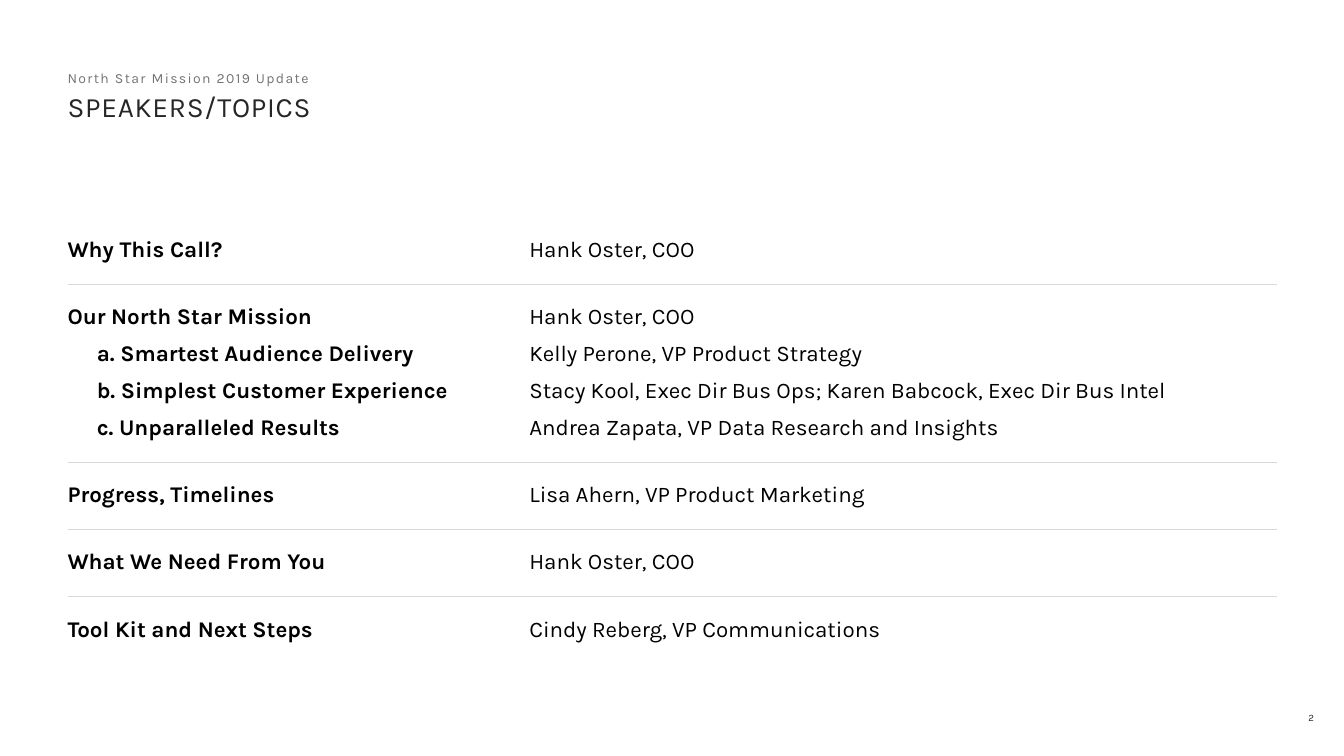
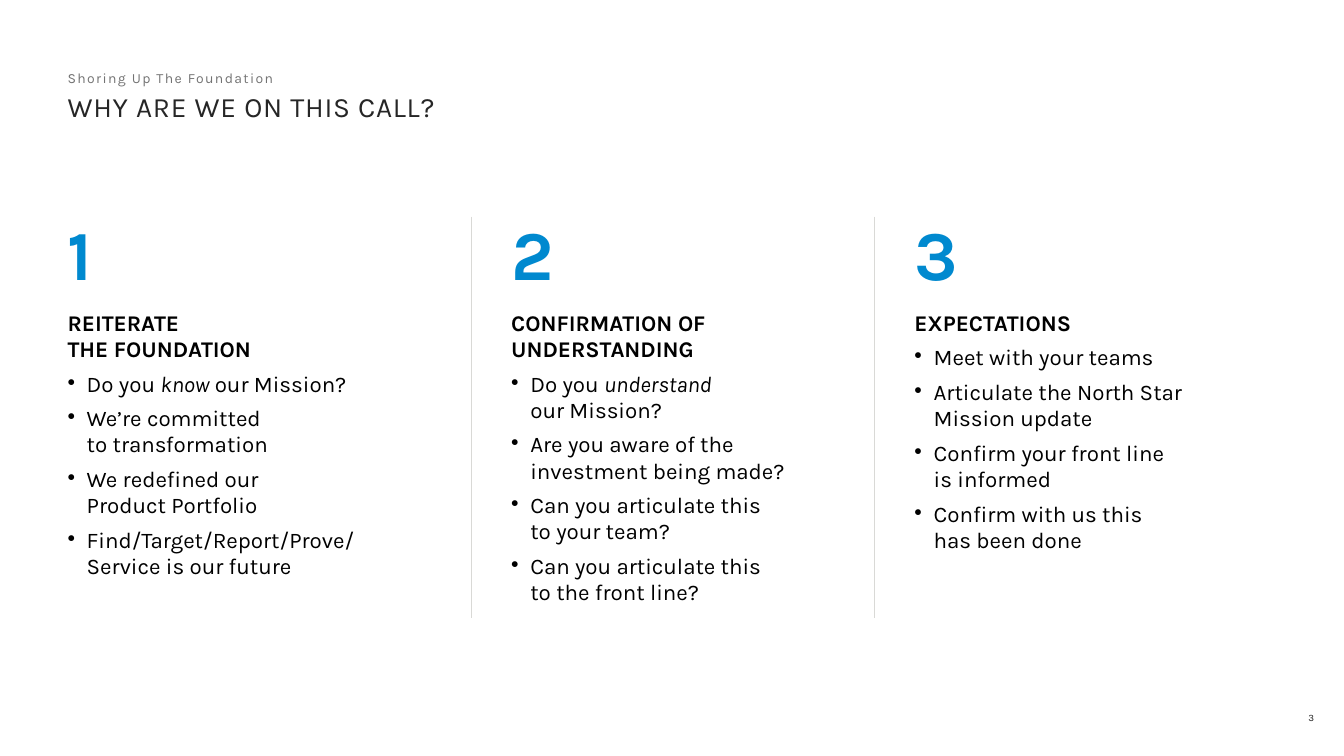
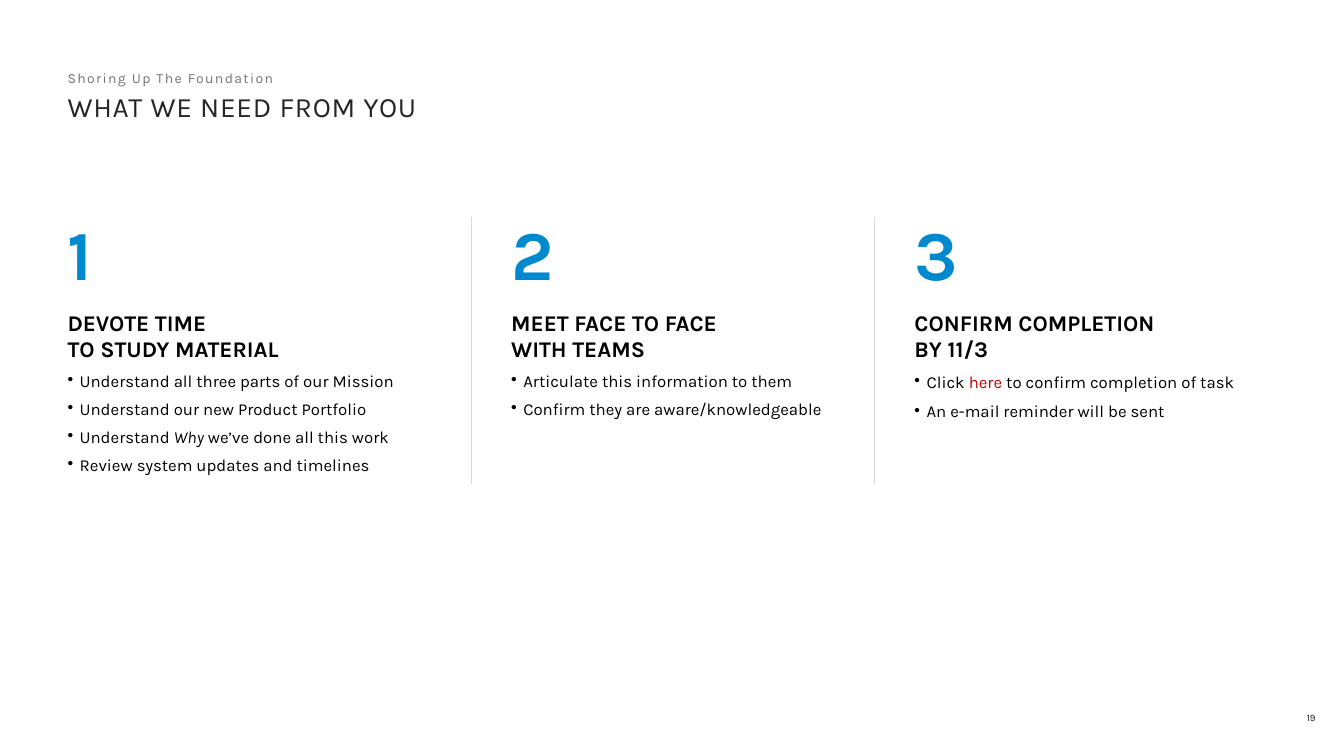
from copy import deepcopy

from lxml import etree
from pptx import Presentation
from pptx.dml.color import RGBColor
from pptx.enum.text import MSO_ANCHOR, PP_ALIGN
from pptx.oxml.ns import qn
from pptx.util import Inches, Pt

MIDDLE = MSO_ANCHOR.MIDDLE
CENTER = PP_ALIGN.CENTER
FONT = "Karla"
COLORS = {
    "title": "262626",
    "kicker": "737373",
    "text": "000000",
    "accent": "0089CF",
    "link": "C00000",
    "rule": "D9D9D6",
}
LEFT, TABLE_TOP, WIDTH = 0.67, 2.15, 12
LINE_16 = 0.26
WIDE, TIGHT = 0.2, 0.05

TITLE = {"size": 20, "color": "title", "spc": 50}
KICKER = {"size": 10, "color": "kicker", "spc": 100}
PAGE = {"size": 7, "color": "title"}
BODY = {"size": 16, "color": "text"}
SMALL = {"size": 12, "color": "text"}
HEADING = {"size": 16, "color": "text", "bold": True}
NUMBER = {"size": 50, "color": "accent", "bold": True}
ITALIC = {"italic": True}
LINK = {"color": "link"}

AGENDA = [
    ("Why This Call?", "Hank Oster, COO", 0, WIDE, WIDE),
    ("Our North Star Mission", "Hank Oster, COO", 0, WIDE, TIGHT),
    ("a. Smartest Audience Delivery", "Kelly Perone, VP Product Strategy", 0.29, TIGHT, TIGHT),
    ("b. Simplest Customer Experience",
     "Stacy Kool, Exec Dir Bus Ops; Karen Babcock, Exec Dir Bus Intel", 0.29, TIGHT, TIGHT),
    ("c. Unparalleled Results", "Andrea Zapata, VP Data Research and Insights", 0.29, TIGHT, WIDE),
    ("Progress, Timelines", "Lisa Ahern, VP Product Marketing", 0, WIDE, WIDE),
    ("What We Need From You", "Hank Oster, COO", 0, WIDE, WIDE),
    ("Tool Kit and Next Steps", "Cindy Reberg, VP Communications", 0, WIDE, WIDE),
]

REASONS = [
    ("REITERATE\nTHE FOUNDATION", [
        [("Do you ", {}), ("know", ITALIC), (" our Mission?", {})],
        "We’re committed\nto transformation",
        "We redefined our\nProduct Portfolio",
        "Find/Target/Report/Prove/\nService is our future",
    ], {"before": 6}),
    ("CONFIRMATION OF UNDERSTANDING", [
        [("Do you ", {}), ("understand\n", ITALIC), ("our Mission?", {})],
        "Are you aware of the investment being made?",
        "Can you articulate this\nto your team?",
        "Can you articulate this\nto the front line?",
    ], {"before": 6}),
    ("EXPECTATIONS", [
        "Meet with your teams",
        "Articulate the North Star Mission update",
        "Confirm your front line\nis informed",
        "Confirm with us this\nhas been done",
    ], {"before": 6}),
]

REQUESTS = [
    ("DEVOTE TIME\nTO STUDY MATERIAL", [
        "Understand all three parts of our Mission",
        "Understand our new Product Portfolio",
        [("Understand ", {}), ("Why", ITALIC), (" we’ve done all this work", {})],
        "Review system updates and timelines",
    ], {"before": 6}),
    ("MEET FACE TO FACE\nWITH TEAMS", [
        "Articulate this information to them",
        "Confirm they are aware/knowledgeable",
    ], {"before": 6}),
    ("CONFIRM COMPLETION\nBY 11/3", [
        [("Click ", {}), ("here", LINK), (" to confirm completion of task", {})],
        "An e-mail reminder will be sent",
    ], {"spacing": 1.5}),
]


def format_run(r, fmt):
    values = {"name": FONT, "size": Pt(fmt["size"]),
              "bold": fmt.get("bold", False), "italic": fmt.get("italic", False)}
    for name, value in values.items():
        setattr(r.font, name, value)
    r.font.color.rgb = RGBColor.from_string(COLORS[fmt["color"]])
    if "spc" in fmt:
        r._r.get_or_add_rPr().set("spc", str(fmt["spc"]))


def write(p, content, fmt):
    segments = [(content, {})] if isinstance(content, str) else content
    for text, extra in segments:
        for i, line in enumerate(text.split("\n")):
            if i:
                p.add_line_break()
                p._p[-1].append(deepcopy(r._r.rPr))
            if line:
                r = p.add_run()
                r.text = line
                format_run(r, {**fmt, **extra})


def indent(p, left, hanging=0):
    pPr = p._p.get_or_add_pPr()
    pPr.set("marL", str(Inches(left)))
    pPr.set("indent", str(-Inches(hanging)))
    return pPr


def add_bullet(tf, content, fmt, hanging, before=0, spacing=None):
    p = tf.add_paragraph()
    pPr = indent(p, hanging, hanging)
    etree.SubElement(pPr, qn("a:buChar")).set("char", "•")
    p.space_before = Pt(before)
    if spacing:
        p.line_spacing = spacing
    write(p, content, fmt)


def add_text(s, box, text, fmt):
    tf = s.shapes.add_textbox(*map(Inches, box)).text_frame
    tf.word_wrap = True
    for side in ("left", "top", "right", "bottom"):
        setattr(tf, f"margin_{side}", 0)
    p = tf.paragraphs[0]
    write(p, text, fmt)
    return tf, p


def add_slide(prs, kicker, title, page):
    s = prs.slides.add_slide(prs.slide_layouts[6])
    tf, p = add_text(s, (12.67, 7, 0.67, 0.24), page, PAGE)
    tf.vertical_anchor = MIDDLE
    p.alignment = CENTER
    tf, p = add_text(s, (LEFT, 0.93, WIDTH, 0.31), title, TITLE)
    p.line_spacing = 0.9
    add_text(s, (LEFT, 0.69, WIDTH, 0.17), kicker, KICKER)
    return s


def add_grid(s, widths, heights):
    box = map(Inches, (LEFT, TABLE_TOP, sum(widths), sum(heights)))
    table = s.shapes.add_table(len(heights), len(widths), *box).table
    table.first_row = table.horz_banding = False
    for col, width in zip(table.columns, widths):
        col.width = Inches(width)
    for row, height in zip(table.rows, heights):
        row.height = Inches(height)
    return table


def style_cell(cell, margins, ruled):
    for side, value in zip(("left", "top", "right", "bottom"), margins):
        setattr(cell, f"margin_{side}", Inches(value))
    cell.fill.background()
    tcPr = cell._tc.get_or_add_tcPr()
    for i, side in enumerate("LRTB"):
        ln = etree.Element(qn(f"a:ln{side}"))
        if side in ruled:
            ln.set("w", str(Pt(0.5)))
            fill = etree.SubElement(ln, qn("a:solidFill"))
            etree.SubElement(fill, qn("a:srgbClr")).set("val", COLORS["rule"])
        else:
            etree.SubElement(ln, qn("a:noFill"))
        tcPr.insert(i, ln)


def add_agenda(s, rows):
    heights = [top + LINE_16 + bottom for *_, top, bottom in rows]
    table = add_grid(s, (4.48, 7.52), heights)
    for i, (topic, speaker, left, top, bottom) in enumerate(rows):
        ruled = "T" if i and top == WIDE else ""
        if i < len(rows) - 1 and bottom == WIDE:
            ruled += "B"
        for j, (text, fmt, margin) in enumerate(((topic, HEADING, 0), (speaker, BODY, 0.1))):
            cell = table.cell(i, j)
            style_cell(cell, (margin, top, 0.1, bottom), ruled)
            write(cell.text_frame.paragraphs[0], text, fmt)
        indent(table.cell(i, 0).text_frame.paragraphs[0], left)


def add_columns(s, columns, fmt, hanging, right, body_height):
    count = len(columns)
    table = add_grid(s, [WIDTH / count] * count, (0.84, body_height))
    for j, (heading, bullets, spacing) in enumerate(columns):
        left = 0.4 if j else 0
        ruled = ("L" if j else "") + ("R" if j < count - 1 else "")
        for i, (text, style, top) in enumerate(((str(j + 1), NUMBER, 0), (heading, HEADING, TIGHT))):
            cell = table.cell(i, j)
            style_cell(cell, (left, top, right, TIGHT), ruled)
            write(cell.text_frame.paragraphs[0], text, style)
        for bullet in bullets:
            add_bullet(cell.text_frame, bullet, fmt, hanging, **spacing)


def main():
    prs = Presentation()
    prs.slide_width, prs.slide_height = Inches(13.33), Inches(7.5)
    s = add_slide(prs, "North Star Mission 2019 Update", "SPEAKERS/TOPICS", "2")
    add_agenda(s, AGENDA)
    s = add_slide(prs, "Shoring Up The Foundation", "WHY ARE WE ON THIS CALL?", "3")
    add_columns(s, REASONS, BODY, 0.19, 0.4, 3)
    s = add_slide(prs, "Shoring Up The Foundation", "WHAT WE NEED FROM YOU", "19")
    add_columns(s, REQUESTS, SMALL, 0.12, 0.2, 1.7)
    prs.save("out.pptx")


if __name__ == "__main__":
    main()
